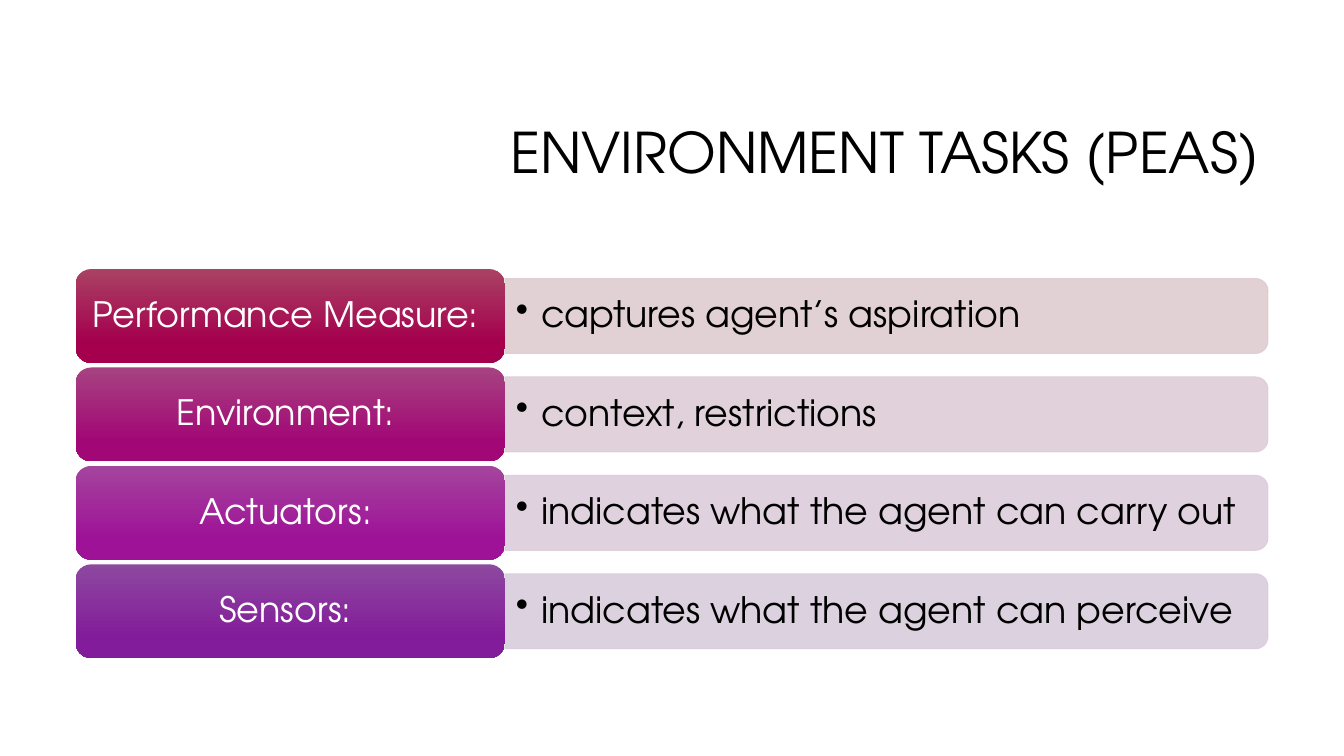
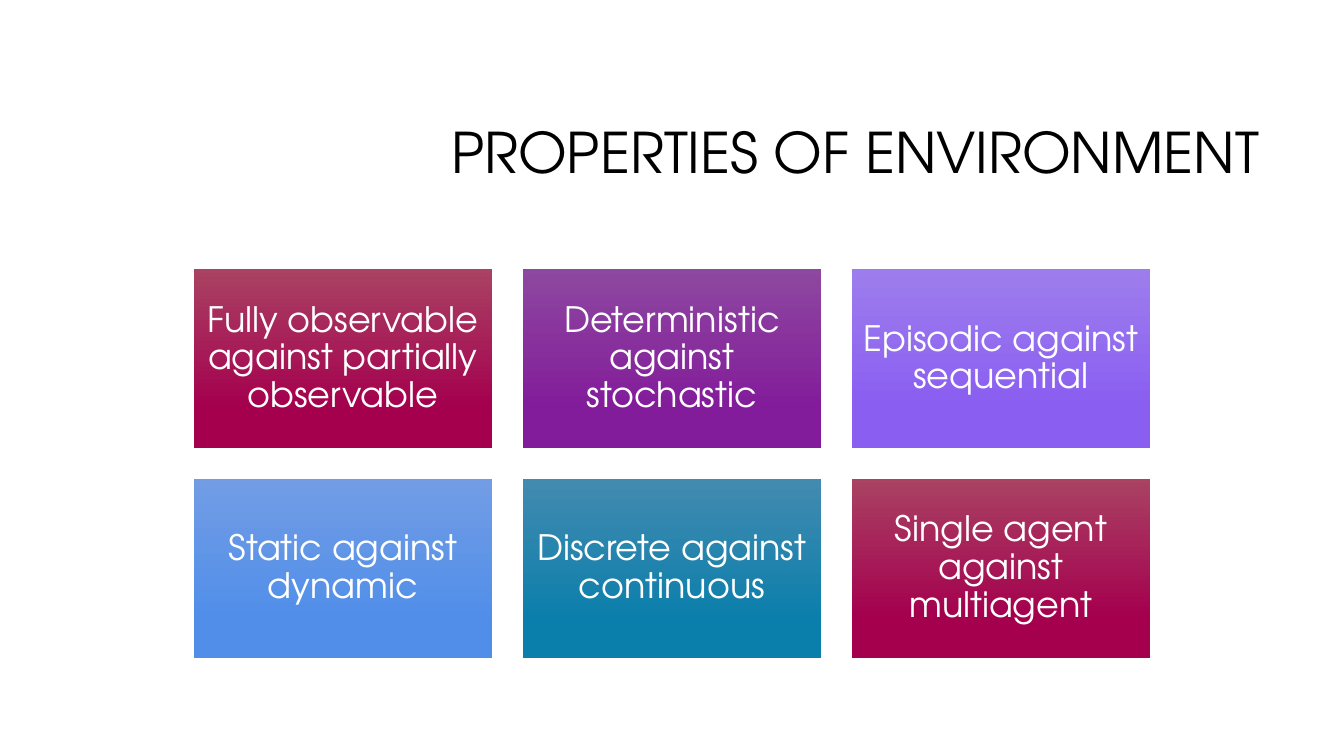
"""Build two slides on agent environments: the PEAS tasks and the environment properties."""
from pptx import Presentation
from pptx.dml.color import RGBColor
from pptx.enum import shapes, text
from pptx.oxml import ns, xmlchemy
from pptx.util import Pt

FONT = "TeX Gyre Adventor"
BLACK = RGBColor(0x00, 0x00, 0x00)
WHITE = RGBColor(0xFF, 0xFF, 0xFF)
CRIMSON = (RGBColor(0xA9, 0x42, 0x63), RGBColor(0xA4, 0x00, 0x4E))
MAGENTA = (RGBColor(0xA7, 0x42, 0x81), RGBColor(0xA2, 0x08, 0x75))
ORCHID = (RGBColor(0xA4, 0x44, 0x9D), RGBColor(0x9E, 0x12, 0x97))
PURPLE = (RGBColor(0x8D, 0x48, 0xA0), RGBColor(0x83, 0x1C, 0x9A))
VIOLET = (RGBColor(0x9D, 0x7D, 0xED), RGBColor(0x8A, 0x5E, 0xF1))
BLUE = (RGBColor(0x72, 0x9D, 0xE5), RGBColor(0x51, 0x8E, 0xE9))
TEAL = (RGBColor(0x43, 0x8A, 0xB0), RGBColor(0x0B, 0x7F, 0xAB))
PALE_CRIMSON = RGBColor(0xDF, 0xCC, 0xD0)
PALE_MAGENTA = RGBColor(0xDE, 0xCC, 0xD6)
PALE_ORCHID = RGBColor(0xDD, 0xCD, 0xDC)
PALE_PURPLE = RGBColor(0xD8, 0xCD, 0xDC)

CONTENT_TOP = 192.2


def write(shape, words, size, color, align, inset_x=7.2, inset_y=3.6):
    frame = shape.text_frame
    frame.text = words
    frame.word_wrap = True
    frame.auto_size = text.MSO_AUTO_SIZE.NONE
    frame.vertical_anchor = text.MSO_ANCHOR.MIDDLE
    frame.margin_left = frame.margin_right = Pt(inset_x)
    frame.margin_top = frame.margin_bottom = Pt(inset_y)
    paragraph = frame.paragraphs[0]
    paragraph.alignment = align
    paragraph.line_spacing = 0.9
    font = paragraph.runs[0].font
    font.name, font.size, font.color.rgb = FONT, Pt(size), color
    return paragraph


def add_gradient_box(slide, preset, left, top, width, height, gradient, words, inset_y):
    box = slide.shapes.add_shape(preset, Pt(left), Pt(top), Pt(width), Pt(height))
    box.shadow.inherit = False
    box.line.fill.background()
    box.fill.gradient()
    box.fill.gradient_angle = 270
    for stop, color, position in zip(box.fill.gradient_stops, gradient, (0, 0.78)):
        stop.color.rgb, stop.position = color, position
    write(box, words, 25, WHITE, text.PP_ALIGN.CENTER, inset_y=inset_y)


prs = Presentation()
prs.slide_width, prs.slide_height = Pt(960), Pt(540)
title_only = prs.slide_layouts[5]
layout_title = title_only.placeholders[0]
layout_title.left, layout_title.top = Pt(228), Pt(60.5)
layout_title.width, layout_title.height = Pt(678.5), Pt(101.5)

peas, properties = [prs.slides.add_slide(title_only) for _ in range(2)]
for slide, heading in ((peas, "ENVIRONMENT TASKS (PEAS)"),
                       (properties, "PROPERTIES OF ENVIRONMENT")):
    write(slide.shapes.title, heading, 40, BLACK, text.PP_ALIGN.RIGHT)

TASKS = [
    ("Performance Measure: ", "captures agent’s aspiration", CRIMSON, PALE_CRIMSON),
    ("Environment: ", "context, restrictions", MAGENTA, PALE_MAGENTA),
    ("Actuators: ", "indicates what the agent can carry out", ORCHID, PALE_ORCHID),
    ("Sensors: ", "indicates what the agent can perceive", PURPLE, PALE_PURPLE),
]
LABEL_LEFT, LABEL_W, LABEL_H, ROW_PITCH = 54, 306.7, 67, 70.3
BAR_LEFT, BAR_W, BAR_H = LABEL_LEFT + LABEL_W, 545, 53.5
MEANING_W, MEANING_H = 543, 48

for row, (label, meaning, gradient, pale) in enumerate(TASKS):
    label_top = CONTENT_TOP + row * ROW_PITCH
    middle = label_top + LABEL_H / 2

    bar = peas.shapes.add_shape(
        shapes.MSO_SHAPE.ROUND_2_SAME_RECTANGLE,
        Pt(BAR_LEFT + (BAR_W - BAR_H) / 2), Pt(middle - BAR_W / 2), Pt(BAR_H), Pt(BAR_W))
    bar.rotation = 90
    bar.shadow.inherit = False
    bar.fill.solid()
    bar.fill.fore_color.rgb = bar.line.color.rgb = pale
    bar.line.width = Pt(0.75)
    for color in bar._element.spPr.iter(ns.qn("a:srgbClr")):
        alpha = xmlchemy.OxmlElement("a:alpha")
        alpha.set("val", "90000")
        color.append(alpha)

    meaning_area = peas.shapes.add_textbox(
        Pt(BAR_LEFT), Pt(middle - MEANING_H / 2), Pt(MEANING_W), Pt(MEANING_H))
    paragraph = write(meaning_area, meaning, 26, BLACK, text.PP_ALIGN.LEFT, inset_x=7.8)
    properties_xml = paragraph._p.get_or_add_pPr()
    properties_xml.set("marL", str(Pt(18)))
    properties_xml.set("indent", str(-Pt(18)))
    bullet = xmlchemy.OxmlElement("a:buChar")
    bullet.set("char", "•")
    properties_xml.append(bullet)

    add_gradient_box(peas, shapes.MSO_SHAPE.ROUNDED_RECTANGLE, LABEL_LEFT, label_top,
                     LABEL_W, LABEL_H, gradient, label, 3.6)

CONTRASTS = [
    ("Fully observable against partially observable", CRIMSON),
    ("Deterministic against stochastic", PURPLE),
    ("Episodic against sequential", VIOLET),
    ("Static against dynamic", BLUE),
    ("Discrete against continuous", TEAL),
    ("Single agent against multiagent", CRIMSON),
]
COLUMNS, GRID_LEFT, TILE_W, TILE_H, GAP = 3, 138.3, 213.2, 128, 21.8

for index, (contrast, gradient) in enumerate(CONTRASTS):
    row, column = divmod(index, COLUMNS)
    add_gradient_box(properties, shapes.MSO_SHAPE.RECTANGLE,
                     GRID_LEFT + column * (TILE_W + GAP), CONTENT_TOP + row * (TILE_H + GAP),
                     TILE_W, TILE_H, gradient, contrast, 7.2)

prs.save("out.pptx")
